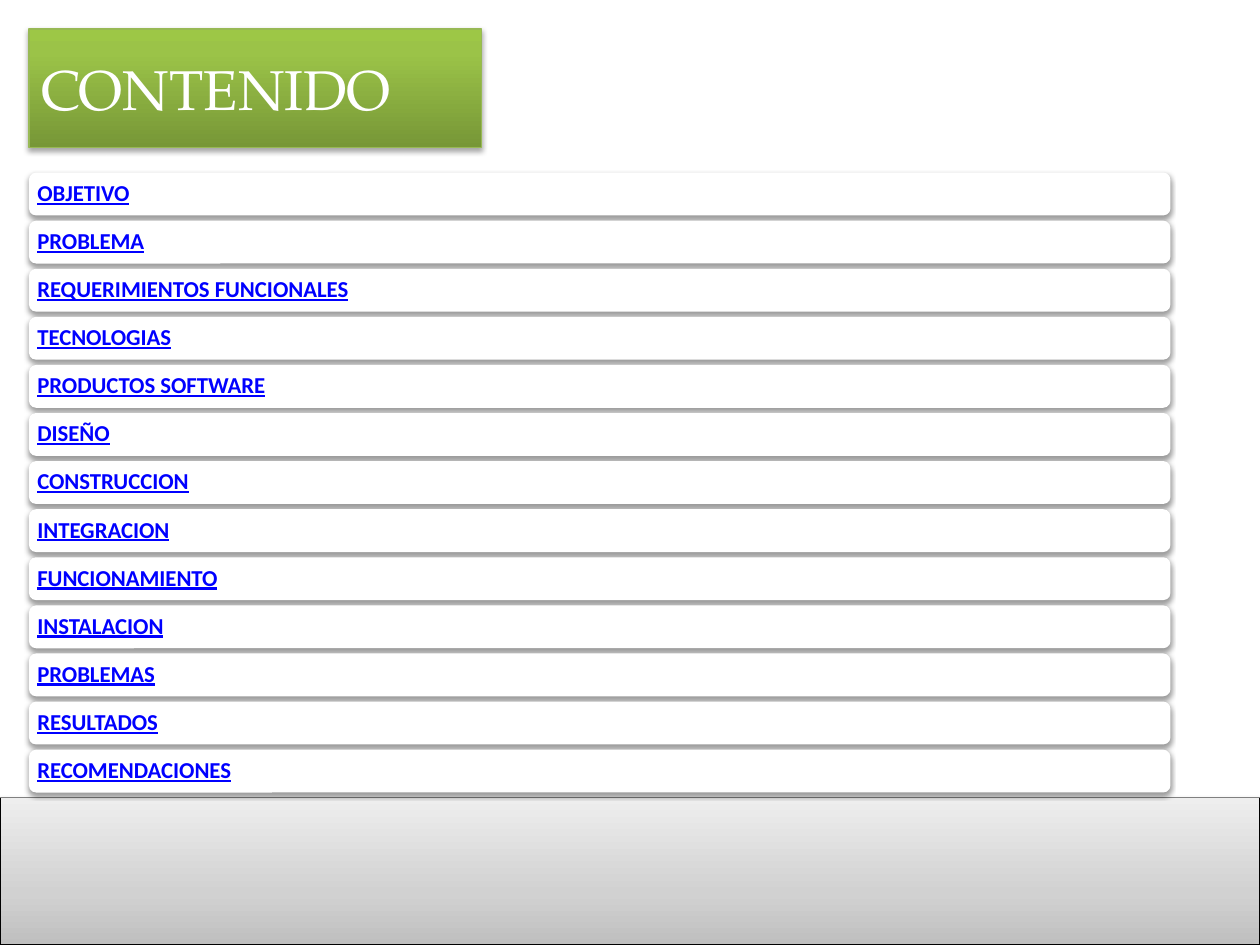
from pptx import Presentation
from pptx.dml.color import RGBColor as RGB
from pptx.enum.shapes import MSO_CONNECTOR as LINE, MSO_SHAPE as SHAPE
from pptx.enum.text import MSO_ANCHOR as ANCHOR, PP_ALIGN as ALIGN
from pptx.oxml import parse_xml
from pptx.oxml.ns import nsdecls, qn
from pptx.util import Inches, Pt
from lxml.etree import SubElement

INK = {
    "white": "FFFFFF", "black": "000000", "link": "0000FF",
    "rule": "808080", "edge": "98B955",
}
GREY = [(0, "BFBFBF"), (35, "D1D1D1"), (100, "EEEEEE")]
GREEN = [(0, "779737"), (80, "9BC348"), (100, "9DC746")]
TOPICS = [
    "OBJETIVO", "PROBLEMA", "REQUERIMIENTOS FUNCIONALES", "TECNOLOGIAS",
    "PRODUCTOS SOFTWARE", "DISEÑO", "CONSTRUCCION", "INTEGRACION",
    "FUNCIONAMIENTO", "INSTALACION", "PROBLEMAS", "RESULTADOS",
    "RECOMENDACIONES",
]


class Deck:
    """Holds the style and the current slide, and draws its elements."""

    def __init__(self):
        self.prs = Presentation()
        self.prs.slide_width, self.prs.slide_height = Inches(10), Inches(7.5)
        self.slide = self.prs.slides.add_slide(self.prs.slide_layouts[6])

    def color(self, name):
        return RGB.from_string(INK[name])

    def box(self, kind, at, fill, edge=None, shade=38, drop=1.6):
        box = self.slide.shapes.add_shape(kind, *map(Inches, at))
        if isinstance(fill, str):
            box.fill.solid()
            box.fill.fore_color.rgb = self.color(fill)
        else:
            self.blend(box, fill)
        if edge:
            box.line.color.rgb = self.color(edge)
            box.line.width = Pt(0.75)
        else:
            box.line.fill.background()
        self.shadow(box, shade, drop)
        return box

    def blend(self, box, stops):
        box.fill.gradient()
        box.fill.gradient_angle = 90
        group = next(box._element.spPr.iter(qn("a:gsLst")))
        for old in list(group):
            group.remove(old)
        for pos, tone in stops:
            stop = SubElement(group, qn("a:gs"), pos=str(pos * 1000))
            SubElement(stop, qn("a:srgbClr"), val=tone)

    def shadow(self, box, shade, drop):
        box.shadow.inherit = False
        box._element.spPr.find(qn("a:effectLst")).append(parse_xml(
            f'<a:outerShdw {nsdecls("a")} blurRad="{Pt(3.1)}" '
            f'dist="{Pt(drop)}" dir="5400000" rotWithShape="0">'
            f'<a:srgbClr val="{INK["black"]}">'
            f'<a:alpha val="{shade * 1000}"/></a:srgbClr></a:outerShdw>'))

    def rule(self, x1, y1, x2, y2):
        rule = self.slide.shapes.add_connector(
            LINE.STRAIGHT, *map(Inches, (x1, y1, x2, y2)))
        rule.line.color.rgb = self.color("rule")
        rule.line.width = Pt(1)
        SubElement(rule._element.spPr, qn("a:effectLst"))

    def label(self, box, text, size, face, tone, pad=0.1, link=False):
        frame = box.text_frame
        frame.word_wrap = True
        frame.vertical_anchor = ANCHOR.MIDDLE
        frame.margin_left = frame.margin_right = Inches(pad)
        frame.margin_top = frame.margin_bottom = Inches(0.05)
        para = frame.paragraphs[0]
        para.alignment = ALIGN.LEFT
        run = para.add_run()
        run.text = text
        font = run.font
        font.size, font.name = Pt(size), face
        font.color.rgb = self.color(tone)
        if link:
            para.line_spacing = 0.9
            font.bold = font.underline = True


deck = Deck()
left, base = 0.23, 6.33
deck.box(SHAPE.RECTANGLE, (0, base, 10, 1.17), GREY, "black")
deck.rule(0, base, 10, base)

title = deck.box(SHAPE.RECTANGLE, (left, 0.23, 3.59, 0.94), GREEN, "edge", 35, 1.8)
deck.label(title, "CONTENIDO", 32, "TeX Gyre Pagella", "white")

top, last = 1.37, 5.95
step = (last - top) / (len(TOPICS) - 1)
for i, topic in enumerate(TOPICS):
    row = deck.box(SHAPE.ROUNDED_RECTANGLE, (left, top + i * step, 9.06, 0.34), "white")
    deck.label(row, topic, 13, "Calibri", "link", 0.05, True)

deck.prs.save("out.pptx")
